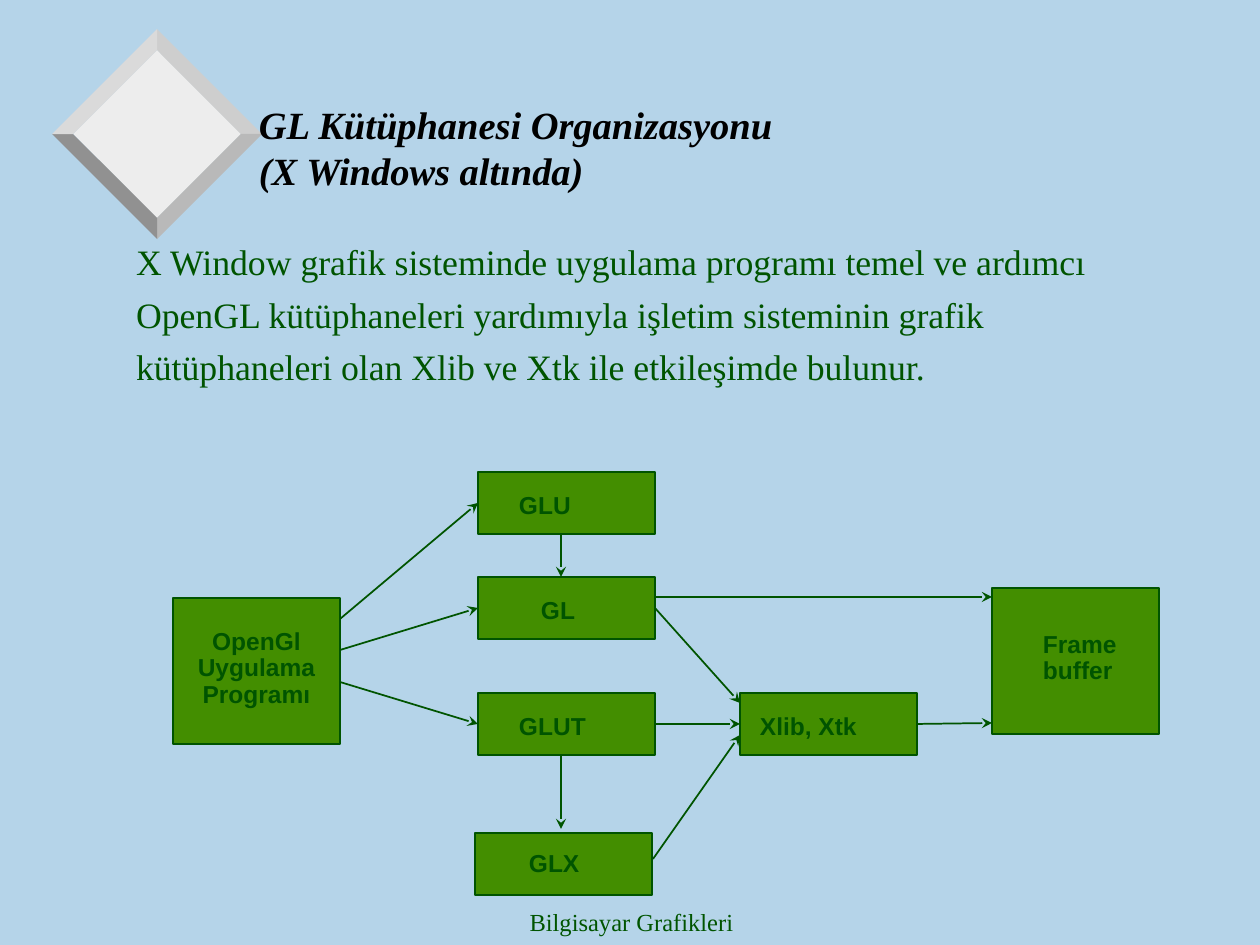
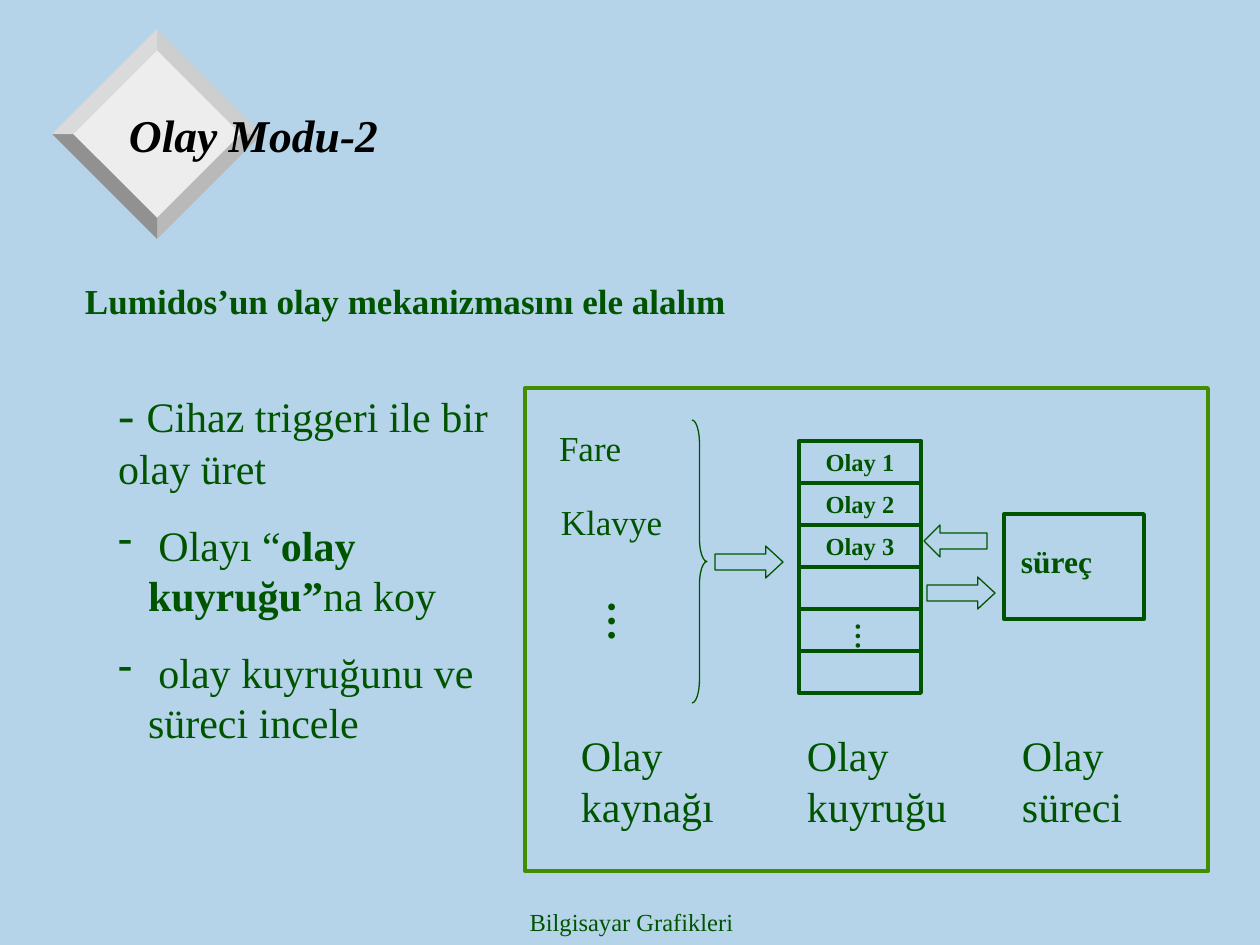
from lxml.etree import SubElement
from pptx import Presentation
from pptx.dml.color import RGBColor
from pptx.enum.shapes import MSO_CONNECTOR, MSO_SHAPE
from pptx.enum.text import MSO_ANCHOR, MSO_AUTO_SIZE, PP_ALIGN
from pptx.oxml.ns import qn
from pptx.util import Emu, Pt

EMU_PER_PX = 914400 / 126
SLIDE_SIZE = (1260, 945)

SKY = RGBColor(0xB5, 0xD4, 0xE9)
DARK_GREEN = RGBColor(0x00, 0x54, 0x00)
GREEN = RGBColor(0x43, 0x8E, 0x00)
BLACK = RGBColor(0x00, 0x00, 0x00)
DIAMOND_FACE = RGBColor(0xED, 0xED, 0xED)
DIAMOND_FACETS = [  # clockwise from the top right
    RGBColor(0xCE, 0xCE, 0xCE),
    RGBColor(0xB9, 0xB9, 0xB9),
    RGBColor(0x91, 0x91, 0x91),
    RGBColor(0xDA, 0xDA, 0xDA),
]
SERIF, SANS = "Times New Roman", "Arial"
TOP, LEFT, BOTTOM, RIGHT = range(4)
INSETS = (13, 6, 13, 6)

FOOTER = "Bilgisayar Grafikleri"
DIAMOND_CENTRE, FACE_RADIUS, DIAMOND_RADIUS = (157, 134), 84, 105

LIBRARY_TITLE = ["GL Kütüphanesi Organizasyonu", "(X Windows altında)"]
LIBRARY_INTRO = [
    "X Window grafik sisteminde uygulama programı temel ve ardımcı",
    "OpenGL kütüphaneleri yardımıyla işletim sisteminin grafik",
    "kütüphaneleri olan Xlib ve Xtk ile etkileşimde bulunur.",
]
LARGE, SMALL = (167, 146), (177, 62)
# name: position, size, label lines, label offset (left None = centred)
LIBRARY_BOXES = {
    "program": ((173, 598), LARGE, ["OpenGl", "Uygulama", "Programı"], (None, 31)),
    "glu": ((478, 472), SMALL, ["GLU"], (41, 21)),
    "gl": ((478, 577), SMALL, ["GL"], (63, 21)),
    "glut": ((478, 693), SMALL, ["GLUT"], (41, 21)),
    "glx": ((475, 833), SMALL, ["GLX"], (54, 18)),
    "frame buffer": ((992, 588), LARGE, ["Frame", "buffer"], (51, 44)),
    "xlib": ((740, 693), SMALL, ["Xlib, Xtk"], (20, 21)),
}
# each end is a point, or a box name with a connection site
LIBRARY_ARROWS = [
    ((340, 650), ("gl", LEFT)),
    ((340, 619), ("glu", LEFT)),
    ((340, 682), ("glut", LEFT)),
    (("gl", RIGHT), (740, 703)),
    (("glut", RIGHT), ("xlib", LEFT)),
    ((653, 859), (740, 735)),
    (("xlib", RIGHT), (992, 723)),
    ((655, 597), (992, 597)),
    ((561, 534), (561, 577)),
    ((561, 755), (561, 829)),
]

EVENT_TITLE = "Olay Modu-2"
EVENT_INTRO = "Lumidos’un olay mekanizmasını ele alalım"
EVENT_STEPS = [
    [("- ", {"size": 28}), ("Cihaz triggeri ile bir olay üret", {})],
    [(" Olayı “", {}), ("olay kuyruğu”", {"bold": True}), ("na koy", {})],
    [(" olay kuyruğunu ve süreci incele", {})],
]
EVENT_LABELS = [  # text, rectangle, size
    ("Fare", (546, 420, 131, 55), 20),
    ("Klavye", (548, 494, 166, 55), 20),
    ("Olay kaynağı", (568, 724, 198, 113), 24),
    ("Olay kuyruğu", (794, 724, 183, 113), 24),
    ("Olay süreci", (1009, 724, 198, 113), 24),
]
ELLIPSES = [((581, 588, 76, 63), 24), ((832, 609, 58, 47), 16)]
QUEUE = (799, 441, 122, 252)
QUEUE_ROWS = 6
QUEUED_EVENTS = ["Olay 1", "Olay 2", "Olay 3"]
BLOCK_ARROWS = [  # shape, rectangle, head length
    (MSO_SHAPE.RIGHT_ARROW, (715, 546, 68, 32), 0.54),
    (MSO_SHAPE.RIGHT_ARROW, (927, 577, 68, 32), 0.54),
    (MSO_SHAPE.LEFT_ARROW, (924, 525, 63, 32), 0.5),
]


def px(*lengths):
    return [Emu(round(length * EMU_PER_PX)) for length in lengths]


def fill_text(frame, paragraphs, size, font=SERIF, color=DARK_GREEN, bold=False,
              italic=False, align=PP_ALIGN.LEFT, anchor=MSO_ANCHOR.TOP,
              insets=INSETS, gap=0, line_spacing=None, bullet=None):
    """Write paragraphs, each a string or a list of (text, changes) runs.

    A bullet is given to every paragraph after the first.
    """
    frame.word_wrap = True
    frame.auto_size = MSO_AUTO_SIZE.NONE
    frame.vertical_anchor = anchor
    (frame.margin_left, frame.margin_top,
     frame.margin_right, frame.margin_bottom) = px(*insets)
    for index, content in enumerate(paragraphs):
        para = frame.add_paragraph() if index else frame.paragraphs[0]
        properties = para._p.get_or_add_pPr()
        hanging = px(30)[0] if bullet and index else 0
        properties.set("marL", str(hanging))
        properties.set("indent", str(-hanging))
        if hanging:
            SubElement(properties, qn("a:buChar")).set("char", bullet)
        else:
            SubElement(properties, qn("a:buNone"))
        para.alignment = align
        para.space_before = Pt(gap if index else 0)
        if line_spacing:
            para.line_spacing = line_spacing
        spans = [(content, {})] if isinstance(content, str) else content
        for number, (text, changes) in enumerate(spans):
            for part, line in enumerate(text.split("\n")):
                if part:
                    para.add_line_break()
                span = para.add_run()
                span.text = line
                span.font.name = font
                span.font.size = Pt(changes.get("size", size))
                span.font.bold = changes.get("bold", bold)
                span.font.italic = italic
                span.font.color.rgb = color


def add_text(slide, rectangle, paragraphs, size, **style):
    box = slide.shapes.add_textbox(*px(*rectangle))
    fill_text(box.text_frame, paragraphs, size, **style)
    return box


def fill_placeholder(holder, rectangle, paragraphs, size, **style):
    holder.left, holder.top, holder.width, holder.height = px(*rectangle)
    fill_text(holder.text_frame, paragraphs, size, **style)


def paint(shape, fill=None, line=None, width=1.0):
    shape.shadow.inherit = False
    if fill is None:
        shape.fill.background()
    else:
        shape.fill.solid()
        shape.fill.fore_color.rgb = fill
    if line is None:
        shape.line.fill.background()
    else:
        shape.line.color.rgb = line
        shape.line.width = Pt(width)


def add_preset(slide, kind, rectangle, **look):
    shape = slide.shapes.add_shape(kind, *px(*rectangle))
    paint(shape, **look)
    return shape


def add_line(slide, start, end, width=1.0, arrow=False):
    connector = slide.shapes.add_connector(MSO_CONNECTOR.STRAIGHT, *px(*start, *end))
    connector.line.color.rgb = DARK_GREEN
    connector.line.width = Pt(width)
    properties = connector.element.spPr
    if arrow:
        SubElement(properties.find(qn("a:ln")), qn("a:tailEnd")).set("type", "stealth")
    SubElement(properties, qn("a:effectLst"))
    return connector


def add_polygon(slide, points, color):
    builder = slide.shapes.build_freeform(*points[0], scale=EMU_PER_PX)
    builder.add_line_segments(points[1:], close=True)
    paint(builder.convert_to_shape(), fill=color)


def add_diamond(slide):
    def corners(radius):
        x, y = DIAMOND_CENTRE
        return [(x, y - radius), (x + radius, y), (x, y + radius), (x - radius, y)]

    inner, outer = corners(FACE_RADIUS), corners(DIAMOND_RADIUS)
    add_polygon(slide, inner, DIAMOND_FACE)
    for side, color in enumerate(DIAMOND_FACETS):
        following = (side + 1) % 4
        add_polygon(slide, [outer[side], outer[following],
                            inner[following], inner[side]], color)


def add_page(deck, title, title_rectangle, title_size, anchor, insets=INSETS):
    """Add a slide with the shared diamond, title style and footer."""
    page = deck.slides.add_slide(deck.slide_layouts[1])
    add_diamond(page)
    holder = page.shapes.title
    page.shapes._spTree.append(holder.element)
    fill_placeholder(holder, title_rectangle, [title], title_size, color=BLACK,
                     bold=True, italic=True, anchor=anchor, insets=insets)
    add_text(page, (432, 901, 399, 44), [FOOTER], 14, align=PP_ALIGN.CENTER)
    return page


def build_library_page(deck):
    page = add_page(deck, "\n".join(LIBRARY_TITLE), (253, 86, 536, 110), 22,
                    MSO_ANCHOR.BOTTOM, (6, 3, 6, 3))
    fill_placeholder(page.placeholders[1], (123, 234, 1071, 159),
                     LIBRARY_INTRO, 20.4, gap=5.5)
    boxes = {}
    for name, (position, size, lines, (left, top)) in LIBRARY_BOXES.items():
        box = add_preset(page, MSO_SHAPE.RECTANGLE, position + size,
                         fill=GREEN, line=DARK_GREEN)
        fill_text(box.text_frame, lines, 14, font=SANS, bold=True, line_spacing=0.9,
                  align=PP_ALIGN.CENTER if left is None else PP_ALIGN.LEFT,
                  insets=(left or 0, top, 0, 0))
        boxes[name] = box
    for start, end in LIBRARY_ARROWS:
        joined = [end_point[0] in boxes for end_point in (start, end)]
        arrow = add_line(page, (0, 0) if joined[0] else start,
                         (0, 0) if joined[1] else end, arrow=True)
        if joined[0]:
            arrow.begin_connect(boxes[start[0]], start[1])
        if joined[1]:
            arrow.end_connect(boxes[end[0]], end[1])


def build_event_page(deck):
    page = add_page(deck, EVENT_TITLE, (116, 58, 1071, 152), 26, MSO_ANCHOR.MIDDLE)
    fill_placeholder(page.placeholders[1], (72, 273, 1146, 84),
                     [EVENT_INTRO], 20, bold=True)
    add_text(page, (105, 378, 399, 377), EVENT_STEPS, 24, gap=15, bullet="-")

    add_preset(page, MSO_SHAPE.RECTANGLE, (525, 388, 683, 483), line=GREEN, width=2.25)
    for text, rectangle, size in EVENT_LABELS:
        add_text(page, rectangle, [text], size)
    brace = add_preset(page, MSO_SHAPE.RIGHT_BRACE, (692, 420, 15, 283),
                       line=DARK_GREEN, width=0.75)
    brace.adjustments[0] = 1.55

    left, top, width, height = QUEUE
    row_height = height // QUEUE_ROWS
    add_preset(page, MSO_SHAPE.RECTANGLE, QUEUE, line=DARK_GREEN, width=2.25)
    for row in range(1, QUEUE_ROWS):
        y = top + row * row_height
        add_line(page, (left, y), (left + width, y), width=2.25)
    for row, event in enumerate(QUEUED_EVENTS):
        add_text(page, (left, top + row * row_height, width, row_height), [event], 14,
                 bold=True, align=PP_ALIGN.CENTER)
    for rectangle, size in ELLIPSES:
        box = add_text(page, rectangle, ["…"], size, bold=True,
                       align=PP_ALIGN.CENTER, insets=(6, 13, 6, 13))
        box.text_frame._txBody.bodyPr.set("vert", "eaVert")

    process = add_preset(page, MSO_SHAPE.RECTANGLE, (1004, 514, 140, 105),
                         line=DARK_GREEN, width=2.25)
    fill_text(process.text_frame, ["süreç"], 18, bold=True, insets=(17, 28, 0, 0))
    for kind, rectangle, head in BLOCK_ARROWS:
        arrow = add_preset(page, kind, rectangle, line=DARK_GREEN, width=0.75)
        arrow.adjustments[1] = head


def main():
    deck = Presentation()
    deck.slide_width, deck.slide_height = px(*SLIDE_SIZE)
    background = deck.slide_master.background.fill
    background.solid()
    background.fore_color.rgb = SKY
    build_library_page(deck)
    build_event_page(deck)
    deck.save("out.pptx")


if __name__ == "__main__":
    main()
